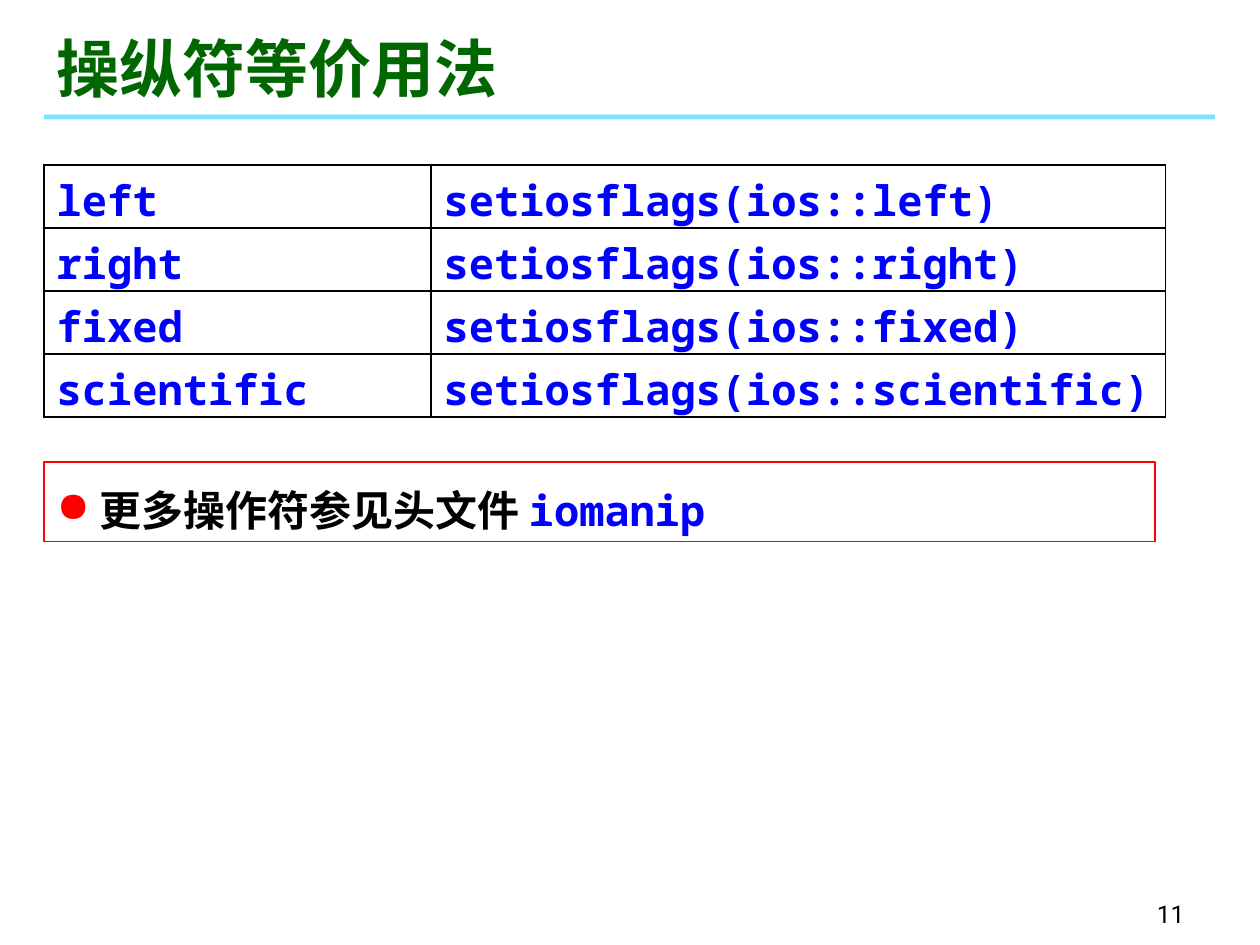
from dataclasses import dataclass

from lxml import etree
from pptx import Presentation
from pptx import util as u
from pptx.dml.color import RGBColor
from pptx.enum import shapes, text
from pptx.oxml import ns

COLOURS = {
    "title": "006600", "rule": "00CCFF", "code": "0000FF", "ink": "000000",
    "accent": "FF0000", "paper": "FFFFFF",
}
SERIF, MONO, SANS = "Times New Roman", "Noto Sans Mono", "Roboto"
LEFT = 0.89  # common left edge, cm
MANIPULATORS = ["left", "right", "fixed", "scientific"]


@dataclass
class Label:
    words: str
    left: float
    top: float
    width: float
    height: float
    size: int
    face: str
    colour: str
    bold: bool = False
    align: text.PP_ALIGN = text.PP_ALIGN.LEFT
    margin: float = 0.13


def rgb(name: str) -> RGBColor:
    return RGBColor.from_string(COLOURS[name])


def set_font(font, size: int, face: str, colour: str, bold: bool) -> None:
    font.size, font.name, font.bold = u.Pt(size), face, bold
    font.color.rgb = rgb(colour)


def add_child(parent, tag: str, **attributes: str):
    return etree.SubElement(parent, ns.qn(tag), attributes)


def add_label(page, label: Label) -> None:
    box = page.shapes.add_textbox(
        u.Cm(label.left), u.Cm(label.top), u.Cm(label.width), u.Cm(label.height))
    frame = box.text_frame
    frame.word_wrap = True
    frame.vertical_anchor = text.MSO_ANCHOR.BOTTOM
    frame.margin_top = frame.margin_bottom = u.Cm(label.margin)
    para = frame.paragraphs[0]
    para.text, para.alignment = label.words, label.align
    set_font(para.font, label.size, label.face, label.colour, label.bold)


def add_rectangle(page, left: float, top: float, width: float, height: float, fill: str):
    box = page.shapes.add_shape(
        shapes.MSO_SHAPE.RECTANGLE, u.Cm(left), u.Cm(top), u.Cm(width), u.Cm(height))
    box.shadow.inherit = False
    box.fill.solid()
    box.fill.fore_color.rgb = rgb(fill)
    box.line.fill.background()
    return box


def fill_cell(cell, words: str) -> None:
    cell.margin_bottom = 0
    properties = cell._tc.get_or_add_tcPr()
    for side in ("a:lnL", "a:lnR", "a:lnT", "a:lnB"):
        border = add_child(properties, side, w=str(u.Pt(1)))
        add_child(add_child(border, "a:solidFill"), "a:srgbClr", val=COLOURS["ink"])
    cell.fill.background()
    para = cell.text_frame.paragraphs[0]
    para.text = words
    set_font(para.font, 24, MONO, "code", True)


def add_manipulator_table(page) -> None:
    widths, row_height = (7.8, 14.81), 1.27
    table = page.shapes.add_table(
        len(MANIPULATORS), len(widths), u.Cm(LEFT), u.Cm(3.33),
        u.Cm(sum(widths)), u.Cm(row_height * len(MANIPULATORS))).table
    table.first_row = table.horz_banding = False
    for column, width in zip(table.columns, widths):
        column.width = u.Cm(width)
    for index, name in enumerate(MANIPULATORS):
        table.rows[index].height = u.Cm(row_height)
        fill_cell(table.cell(index, 0), name)
        fill_cell(table.cell(index, 1), f"setiosflags(ios::{name})")


def add_header_note(page) -> None:
    box = add_rectangle(page, LEFT, 9.32, 22.4, 1.6, "paper")
    box.line.color.rgb, box.line.width = rgb("accent"), u.Pt(1)
    frame = box.text_frame
    frame.word_wrap = True
    frame.vertical_anchor = text.MSO_ANCHOR.MIDDLE
    frame.margin_top = frame.margin_bottom = u.Cm(0.05)
    para = frame.paragraphs[0]
    para.alignment, para.line_spacing = text.PP_ALIGN.LEFT, 1.3
    # Red bullet with a hanging indent
    properties = para._p.get_or_add_pPr()
    properties.set("marL", str(u.Cm(0.6)))
    properties.set("indent", str(-u.Cm(0.6)))
    add_child(add_child(properties, "a:buClr"), "a:srgbClr", val=COLOURS["accent"])
    add_child(properties, "a:buChar", char="●")
    for words, face, colour in ((" 更多操作符参见头文件 ", SERIF, "ink"),
                                ("iomanip", MONO, "code")):
        span = para.add_run()
        span.text = words
        set_font(span.font, 24, face, colour, True)


def main() -> None:
    deck = Presentation()
    deck.slide_width, deck.slide_height = u.Cm(25.4), u.Cm(19.05)
    page = deck.slides.add_slide(deck.slide_layouts[6])

    # Translucent rule under the title
    rule = add_rectangle(page, LEFT, 2.31, 23.6, 0.1, "rule")
    colour = rule.fill._xPr.find(".//" + ns.qn("a:srgbClr"))
    add_child(colour, "a:alpha", val="53000")

    # Page number and title
    add_label(page, Label("11", 18.85, 17.58, 5.28, 1.27, 14, SANS, "ink",
                          align=text.PP_ALIGN.RIGHT))
    add_label(page, Label("操纵符等价用法", LEFT, 0.33, 13.61, 1.78, 36, SERIF, "title",
                          bold=True, margin=0))

    # Equivalents and the closing note
    add_manipulator_table(page)
    add_header_note(page)
    deck.save("out.pptx")


if __name__ == "__main__":
    main()
